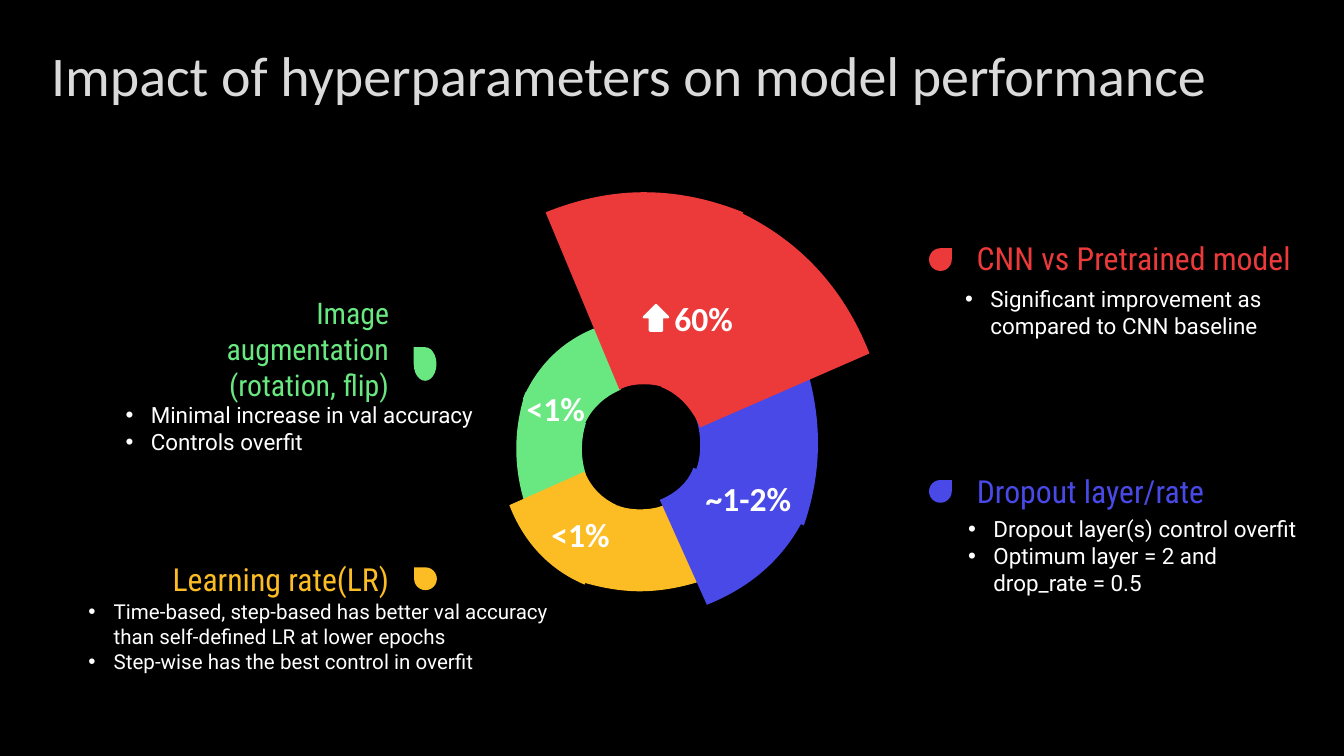
from lxml import etree
from pptx import Presentation
from pptx.dml.color import RGBColor
from pptx.enum.shapes import MSO_SHAPE
from pptx.enum.text import MSO_ANCHOR, MSO_AUTO_SIZE, PP_ALIGN
from pptx.oxml.ns import qn
from pptx.util import Pt

LEFT, RIGHT, CENTER = PP_ALIGN.LEFT, PP_ALIGN.RIGHT, PP_ALIGN.CENTER
MIDDLE = MSO_ANCHOR.MIDDLE
FIXED = MSO_AUTO_SIZE.NONE
TEAR, ARROW = MSO_SHAPE.TEAR, MSO_SHAPE.DOWN_ARROW

BLACK = RGBColor(0x00, 0x00, 0x00)
WHITE = RGBColor(0xFF, 0xFF, 0xFF)
GREY = RGBColor(0xDA, 0xDA, 0xDA)
RED = RGBColor(0xEC, 0x3A, 0x3B)
GREEN = RGBColor(0x69, 0xE7, 0x81)
GOLD = RGBColor(0xFC, 0xBD, 0x24)
BLUE = RGBColor(0x49, 0x49, 0xE7)

RING = (272.9, 103, 192.9, 221)
WEDGES = [
    (GREEN, [(319, 175.7), (301, 182.9, 288, 195.8, 280.1, 213.8), (313.2, 227.5),
             (316.8, 218.9, 324, 212.4, 332.6, 208.8)]),
    (RED, [(344.9, 103), (327.6, 103, 310.3, 106.6, 292.3, 113.8), (331.9, 208.8),
           (335.5, 206.6, 340.6, 205.9, 344.9, 205.9),
           (349.9, 205.9, 354.2, 206.6, 358.6, 208.8), (398.2, 113.8),
           (380.2, 106.6, 362.9, 103, 344.9, 103)]),
    (GREEN, [(281.5, 210.2), (275, 230.4, 275, 250.6, 281.5, 270.7), (313.9, 254.2),
             (312.5, 249.8, 311.8, 245.5, 311.8, 240.5),
             (311.8, 236.2, 312.5, 231.1, 313.9, 226.8)]),
    (GOLD, [(355.7, 270.7), (352.1, 272.2, 347.8, 272.9, 342.7, 272.9),
            (338.4, 272.9, 334.1, 272.2, 330.5, 270.7), (308.9, 311),
            (320.4, 314.6, 331.9, 316.8, 342.7, 316.8),
            (354.2, 316.8, 365.8, 314.6, 376.6, 311)]),
    (GOLD, [(313.2, 252.7), (272.9, 270.7), (280.8, 290.9, 294.5, 305.3, 313.2, 313.2),
            (330.5, 270.7), (322.6, 267.1, 316.8, 261.4, 313.2, 252.7)]),
    (BLUE, [(431.3, 194.4), (373, 224.6), (374.4, 229, 375.1, 233.3, 375.1, 238.3),
            (375.1, 243.4, 374.4, 247.7, 373, 251.3), (430.6, 281.5),
            (440.6, 252.7, 440.6, 223.9, 431.3, 194.4)]),
    (RED, [(391.7, 111.6), (354.2, 207.4), (363.6, 211, 370.8, 218.9, 375.1, 229),
           (465.8, 189.4), (451.4, 152.6, 426.2, 126.7, 391.7, 111.6)]),
]
FRONT = [(371.5, 250.6), (368.6, 258.5, 362.2, 264.2, 353.5, 267.8), (378.7, 324),
         (403.9, 313.9, 421.9, 297.4, 432.7, 273.6)]


def place(box):
    return [Pt(v) for v in box]


def write(shape, lines, size, font, color, align=LEFT, bold=False, dots=False, pad=7.2):
    frame = shape.text_frame
    frame.word_wrap = True
    frame.auto_size = FIXED
    frame.vertical_anchor = MIDDLE
    frame.margin_left = frame.margin_right = Pt(7.2)
    frame.margin_top = frame.margin_bottom = Pt(pad)
    for i, line in enumerate(lines):
        par = frame.add_paragraph() if i else frame.paragraphs[0]
        par.text = line
        par.alignment = align
        if dots:
            props = par._p.get_or_add_pPr()
            props.set("marL", str(Pt(13.5)))
            props.set("indent", str(-Pt(13.5)))
            etree.SubElement(props, qn("a:buFont"), typeface="Arial")
            etree.SubElement(props, qn("a:buChar"), char="•")
        for run in par.runs:
            run.font.size = Pt(size)
            run.font.name = font
            run.font.bold = bold
            run.font.color.rgb = color


def paint(shape, color):
    shape.shadow.inherit = False
    shape.fill.solid()
    shape.fill.fore_color.rgb = color
    shape.line.fill.background()


def wedge(slide, nodes, color, left, top):
    dx, dy = left - RING[0], top - RING[1]
    points = [(Pt(x + dx), Pt(y + dy)) for node in nodes for x, y in zip(node[::2], node[1::2])]
    build = slide.shapes.build_freeform(*points[0])
    build.add_line_segments(points[1:], close=True)
    shape = build.convert_to_shape()
    lines = iter(list(shape.element.iter(qn("a:lnTo"))))
    for node in nodes[1:]:
        first = next(lines)
        if len(node) == 6:
            first.tag = qn("a:cubicBezTo")
            for _ in range(2):
                extra = next(lines)
                first.append(extra[0])
                extra.getparent().remove(extra)
    paint(shape, color)
    return shape


def ring(slide, box):
    left, top = box[:2]
    shapes = [wedge(slide, nodes, color, left, top) for color, nodes in WEDGES]
    write(shapes[-1], ["60%"], 18, "Calibri", WHITE, bold=True)


def marks(slide, box):
    left, top = box[:2]
    wedge(slide, FRONT, BLUE, left, top)
    arrow = slide.shapes.add_shape(ARROW, *place((left + 72, top + 60.4, 13, 13.7)))
    paint(arrow, WHITE)
    arrow.line.color.rgb = WHITE
    arrow.line.width = Pt(1.25)
    arrow.rotation = 180

    tags = [("<1%", -7.2, 102.2, 64, 26.6), ("<1%", 9.3, 169.9, 57.6, 26.6),
            ("~1-2%", 92.7, 149.7, 70.6, 28)]
    for text, x, y, w, h in tags:
        tag = slide.shapes.add_textbox(*place((left + x, top + y, w, h)))
        write(tag, [text], 18, "Calibri", WHITE, align=CENTER, bold=True, pad=3.6)


def callout(slide, box, head, color, notes, area, side=LEFT, size=17, small=12, drop=(11, 12.2)):
    left, top, width, _ = box
    group = slide.shapes.add_group_shape()
    title = group.shapes.add_textbox(*place(box))
    write(title, [head], size, "Roboto Condensed", color, align=side)

    dx, dy, w, h = area
    body = group.shapes.add_textbox(*place((left + dx, top + dy, w, h)))
    write(body, notes, small, "Roboto", WHITE, dots=True)

    x = left - 18.5 if side == LEFT else left + width + 6.2
    shift, tall = drop
    mark = group.shapes.add_shape(TEAR, *place((x, top + shift, 12.2, tall)))
    paint(mark, color)
    if side == RIGHT:
        mark.element.spPr.xfrm.set("flipH", "1")


def heading(slide, box, text):
    title = slide.shapes.title
    title.left, title.top, title.width, title.height = place(box)
    write(title, [text], 30, "Calibri", GREY)


def main():
    deck = Presentation()
    deck.slide_width, deck.slide_height = Pt(720), Pt(405)
    slide = deck.slides.add_slide(deck.slide_layouts[5])
    slide.background.fill.solid()
    slide.background.fill.fore_color.rgb = BLACK

    heading(slide, (20.2, 20.5, 691.2, 38.2), "Impact of hyperparameters on model performance")
    ring(slide, RING)
    callout(slide, (516.2, 121, 185, 33.8), "CNN vs Pretrained model", RED,
            ["Significant improvement as compared to CNN baseline"],
            (-6.2, 21.4, 216.7, 49.7), drop=(12, 12.2))
    callout(slide, (516.2, 246.2, 142.6, 33.8), "Dropout layer/rate", BLUE,
            ["Dropout layer(s) control overfit", "Optimum layer = 2 and drop_rate = 0.5"],
            (-4.6, 26.7, 193.7, 49.7))
    callout(slide, (74.4, 168.5, 141.1, 36.7), "Image augmentation\v(rotation, flip)", GREEN,
            ["Minimal increase in val accuracy", "Controls overfit"],
            (-14.2, 47.5, 218.9, 26.6), side=RIGHT, size=16, drop=(17.5, 18))
    callout(slide, (74.6, 293, 141.1, 33.8), "Learning rate(LR)", GOLD,
            ["Time-based, step-based has better val accuracy than self-defined LR at lower epochs",
             "Step-wise has the best control in overfit"],
            (-34.3, 35.7, 282.2, 24.5), side=RIGHT, small=11)
    marks(slide, RING)
    deck.save("out.pptx")


if __name__ == "__main__":
    main()
